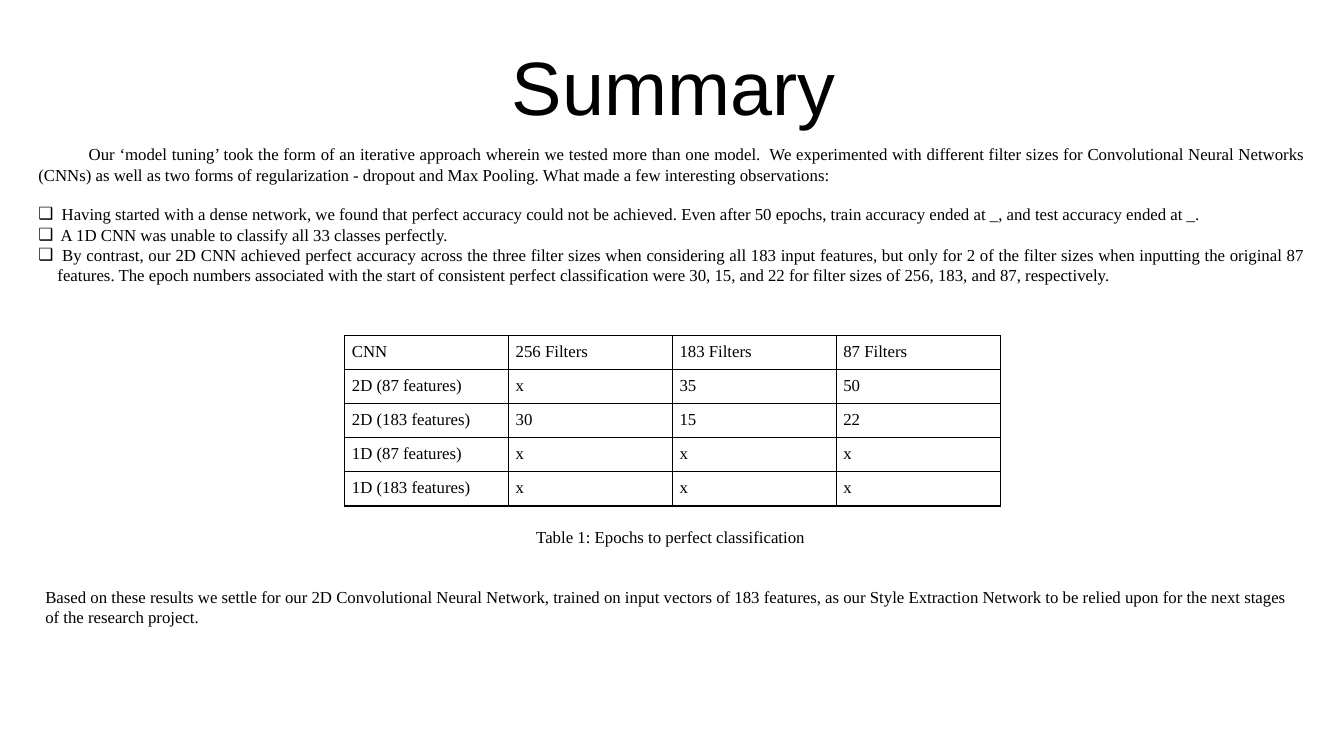
import pptx
import pptx.util
import pptx.dml.color
import pptx.enum.text
import pptx.oxml
import pptx.oxml.ns
import lxml.etree

Pt = pptx.util.Pt
Inches = pptx.util.Inches
ALIGN = pptx.enum.text.PP_ALIGN

INTRO = (
    "Our ‘model tuning’ took the form of an iterative approach wherein we tested more than one model.  "
    "We experimented with different filter sizes for Convolutional Neural Networks (CNNs) as well as two "
    "forms of regularization - dropout and Max Pooling. What made a few interesting observations:"
)
POINTS = [
    " Having started with a dense network, we found that perfect accuracy could not be achieved. "
    "Even after 50 epochs, train accuracy ended at _, and test accuracy ended at _.",
    " A 1D CNN was unable to classify all 33 classes perfectly.",
    " By contrast, our 2D CNN achieved perfect accuracy across the three filter sizes when considering "
    "all 183 input features, but only for 2 of the filter sizes when inputting the original 87 features. "
    "The epoch numbers associated with the start of consistent perfect classification were 30, 15, and 22 "
    "for filter sizes of 256, 183, and 87, respectively.",
]
EPOCHS = [
    ["CNN", "256 Filters", "183 Filters", "87 Filters"],
    ["2D (87 features)", "x", "35", "50"],
    ["2D (183 features)", "30", "15", "22"],
    ["1D (87 features)", "x", "x", "x"],
    ["1D (183 features)", "x", "x", "x"],
]
CLOSING = (
    "Based on these results we settle for our 2D Convolutional Neural Network, trained on input vectors "
    "of 183 features, as our Style Extraction Network to be relied upon for the next stages of the "
    "research project."
)


def color(code):
    return pptx.dml.color.RGBColor.from_string(code)


class Deck:
    serif, sans, ink = "Times New Roman", "Arial", "000000"
    size, large = 12, 54

    def __init__(self):
        self.show = pptx.Presentation()
        self.show.slide_width = Inches(13.33)
        self.show.slide_height = Inches(7.5)
        self.slide = self.show.slides.add_slide(self.show.slide_layouts[1])

    def area(self, left, top, width, height):
        wide, high = self.show.slide_width / 100, self.show.slide_height / 100
        return [round(n) for n in (left * wide, top * high, width * wide, height * high)]

    def place(self, shape, box):
        shape.left, shape.top, shape.width, shape.height = self.area(*box)
        frame = shape.text_frame
        frame.word_wrap = True
        frame.auto_size = pptx.enum.text.MSO_AUTO_SIZE.NONE
        frame.vertical_anchor = pptx.enum.text.MSO_ANCHOR.TOP
        return frame

    def style(self, para, face=None, size=None):
        font = para.font
        font.name = face or self.serif
        font.size = Pt(size or self.size)
        font.color.rgb = color(self.ink)

    def title(self, text, box):
        frame = self.place(self.slide.shapes.title, box)
        frame.text = text
        para = frame.paragraphs[0]
        para.alignment = ALIGN.CENTER
        self.style(para, self.sans, self.large)

    def body(self, intro, points, box):
        frame = self.place(self.slide.placeholders[1], box)
        frame.text = intro
        self.item(frame.paragraphs[0], 0, 0.5)
        for point in points:
            para = frame.add_paragraph()
            para.text = point
            self.item(para, 0.19, -0.19, "❑")
        frame.paragraphs[1].space_before = Pt(14)

    def item(self, para, margin, indent, mark=None):
        props = para._p.get_or_add_pPr()
        props.set("marL", str(Inches(margin)))
        props.set("indent", str(Inches(indent)))
        tag = pptx.oxml.ns.qn("a:buChar" if mark else "a:buNone")
        bullet = lxml.etree.SubElement(props, tag)
        if mark:
            bullet.set("char", mark)
        para.alignment = ALIGN.JUSTIFY
        para.space_before = Pt(0)
        self.style(para)

    def text(self, text, box):
        frame = self.place(self.slide.shapes.add_textbox(0, 0, 0, 0), box)
        frame.text = text
        self.style(frame.paragraphs[0])

    def table(self, rows, box):
        shape = self.slide.shapes.add_table(len(rows), len(rows[0]), *self.area(*box))
        table = shape.table
        table.first_row = table.horz_banding = False
        for r, row in enumerate(rows):
            for c, value in enumerate(row):
                self.cell(table.cell(r, c), value)

    def cell(self, cell, value):
        cell.text = value
        cell.margin_left = cell.margin_right = Inches(0.07)
        cell.margin_top = cell.margin_bottom = Inches(0.07)
        self.style(cell.text_frame.paragraphs[0])
        props = cell._tc.get_or_add_tcPr()
        for side in "LRTB":
            props.append(pptx.oxml.parse_xml(
                f'<a:ln{side} {pptx.oxml.ns.nsdecls("a")} w="{Pt(1)}"><a:solidFill>'
                f'<a:srgbClr val="{self.ink}"/></a:solidFill></a:ln{side}>'
            ))
        cell.fill.background()


def main():
    deck = Deck()
    deck.title("Summary", (2.63, 4.67, 94.97, 10.53))
    deck.body(INTRO, POINTS, (2.1, 18.4, 95.87, 20.13))
    deck.table(EPOCHS, (25.66, 44.4, 48.76, 22.53))
    deck.text("Table 1: Epochs to perfect classification", (39.16, 69.07, 21.76, 4))
    deck.text(CLOSING, (2.63, 76.93, 94.97, 6.67))
    deck.show.save("out.pptx")


if __name__ == "__main__":
    main()
